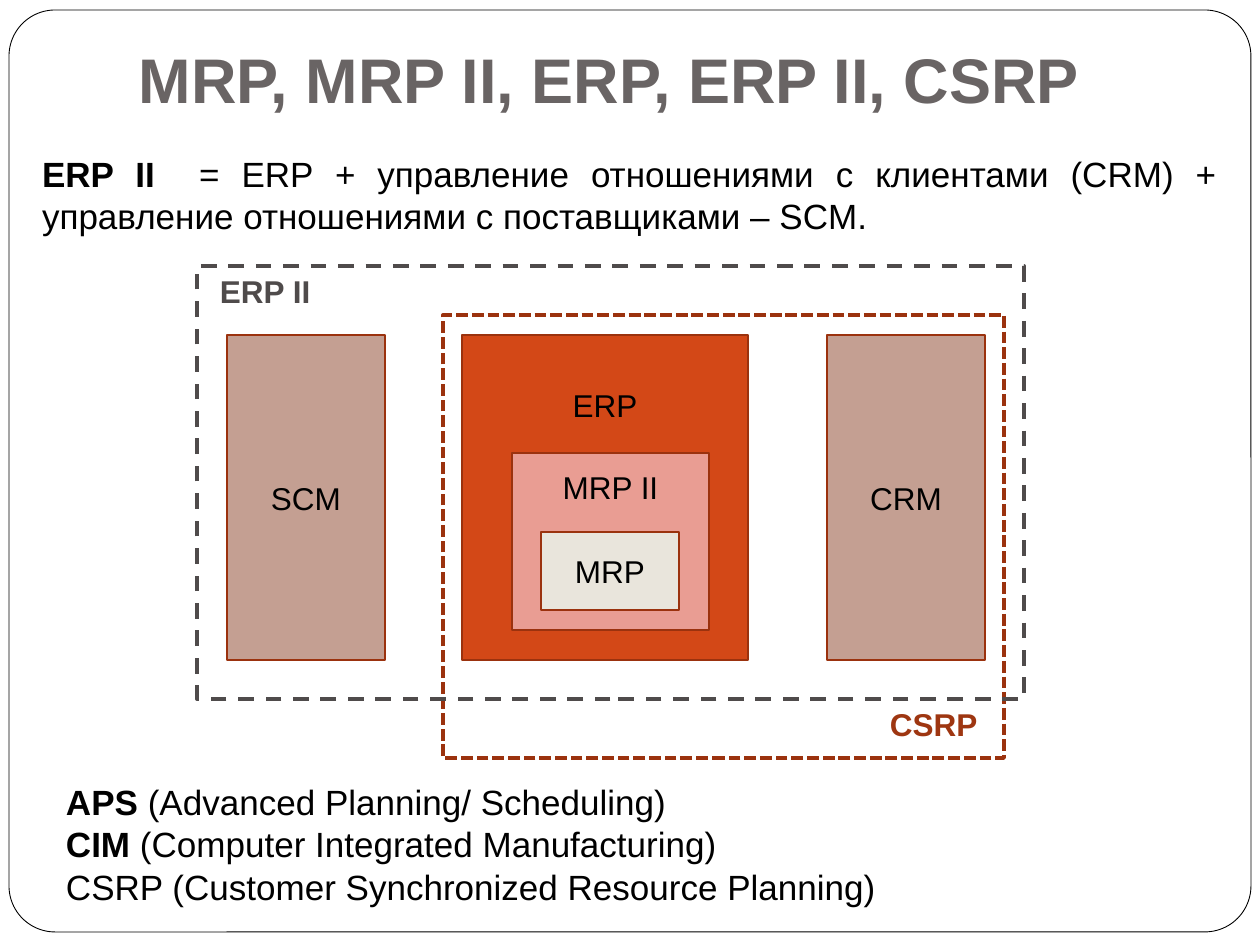
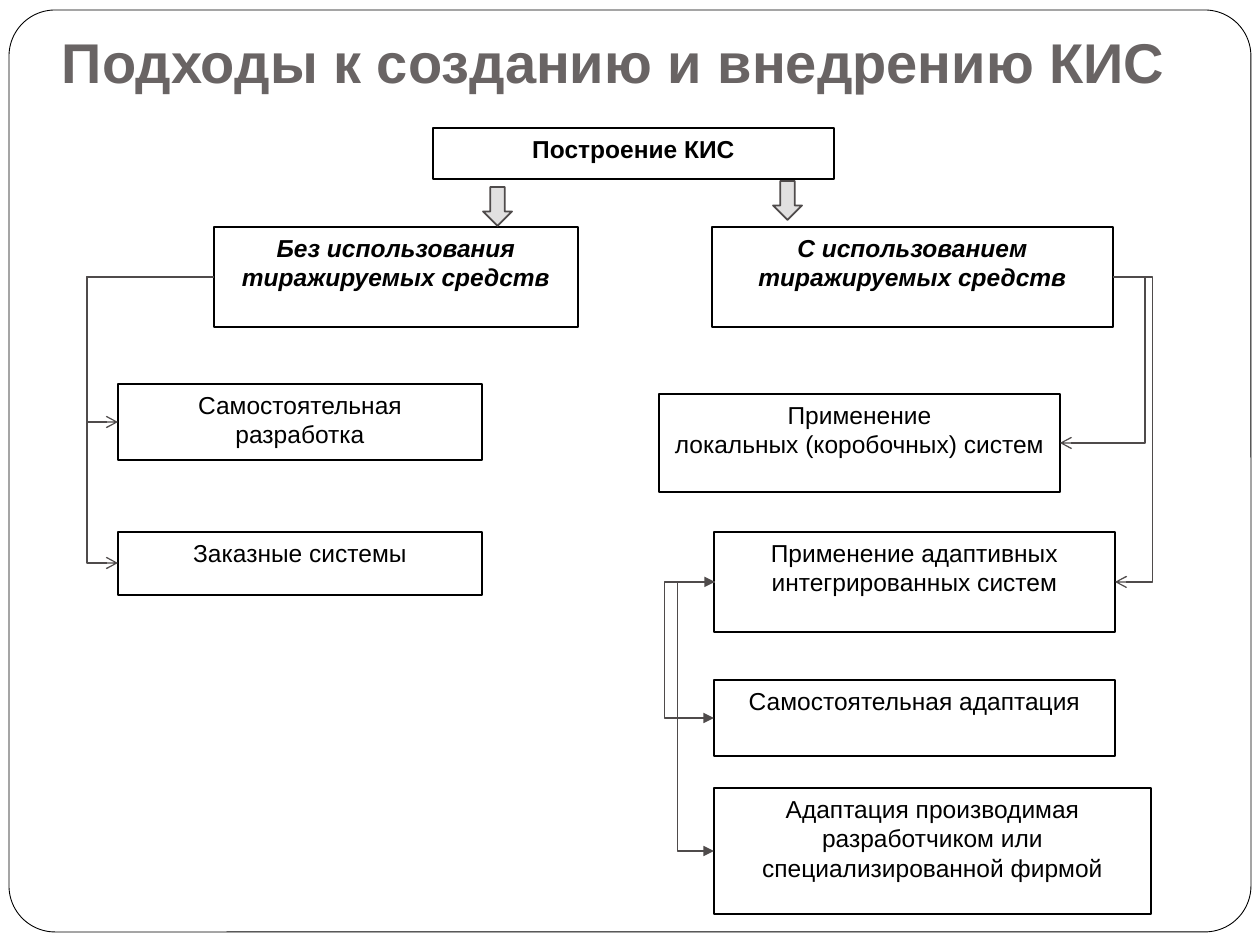
"""Builds two slides on resource planning systems and approaches to creating them."""
from lxml import etree
from pptx import Presentation
from pptx.dml.color import RGBColor
from pptx.enum.dml import MSO_LINE
from pptx.enum.shapes import MSO_CONNECTOR, MSO_SHAPE
from pptx.enum.text import MSO_ANCHOR, PP_ALIGN
from pptx.oxml.ns import qn
from pptx.util import Emu, Pt

RECT, ROUNDED, DOWN = MSO_SHAPE.RECTANGLE, MSO_SHAPE.ROUNDED_RECTANGLE, MSO_SHAPE.DOWN_ARROW
ELBOW = MSO_CONNECTOR.ELBOW
DASH, SHORT_DASH = MSO_LINE.DASH, MSO_LINE.SQUARE_DOT
TOP, MIDDLE, BOTTOM = MSO_ANCHOR.TOP, MSO_ANCHOR.MIDDLE, MSO_ANCHOR.BOTTOM
LEFT, CENTER, JUSTIFY = PP_ALIGN.LEFT, PP_ALIGN.CENTER, PP_ALIGN.JUSTIFY

FONT = "Arial"
BLACK, WHITE, TITLE_GRAY, DARK_GRAY = "000000", "FFFFFF", "696464", "4F4B4B"
RUST, CSRP_RUST, ARROW_GRAY = "9B320E", "9E3611", "E1E0E0"
ROSE, ORANGE, PINK, CREAM = "C49F92", "D34817", "E99D93", "E9E5DC"
PX = 914400 / 126
INSET_X, INSET_Y = 13, 6
FRAME = (9, 10, 1242, 922)

PLAN_TITLE = ("MRP, MRP II, ERP, ERP II, CSRP", 36, (126, 38, 1071, 91))
PLAN_TEXTS = [
    ((29, 147, 1201, 139), JUSTIFY, [
        [("ERP II", True),
         ("  = ERP + управление отношениями с клиентами (CRM) + "
          "управление отношениями с поставщиками – SCM.", False)]]),
    ((53, 775, 900, 139), LEFT, [
        [("APS", True), (" (Advanced Planning/ Scheduling)", False)],
        [("CIM ", True), ("(Computer Integrated Manufacturing)", False)],
        [("CSRP (Customer Synchronized Resource\u00a0Planning)", False)]]),
]
PLAN_BLOCKS = [
    ("SCM", (227, 335, 158, 325), ROSE, None),
    ("ERP", (462, 335, 286, 325), ORANGE, 51),
    ("MRP II", (512, 453, 197, 177), PINK, 15),
    ("MRP", (541, 532, 138, 78), CREAM, None),
    ("CRM", (827, 335, 158, 325), ROSE, None),
]
PLAN_SCOPES = [
    ("CSRP", (443, 315, 561, 443), RUST, SHORT_DASH, (877, 699, 120, 50), CSRP_RUST),
    ("ERP II", (197, 266, 827, 433), DARK_GRAY, DASH, (207, 266, 125, 50), DARK_GRAY),
]

BUILD_TITLE = ("Подходы к созданию и внедрению КИС", 32, (49, 28, 1162, 80))
BUILD_BOXES = {
    "root": (["Построение КИС"], (433, 128, 401, 51), True, False),
    "custom": (["Без использования тиражируемых средств"], (214, 227, 364, 100), True, True),
    "packaged": (["С использованием тиражируемых средств"], (712, 227, 401, 100), True, True),
    "own": (["Самостоятельная разработка"], (118, 384, 364, 76), False, False),
    "ordered": (["Заказные системы"], (118, 532, 364, 63), False, False),
    "local": (["Применение", "локальных (коробочных) систем"],
              (659, 394, 401, 98), False, False),
    "adaptive": (["Применение адаптивных интегрированных систем"],
                 (714, 532, 401, 100), False, False),
    "own_fit": (["Самостоятельная адаптация"], (714, 680, 401, 76), False, False),
    "vendor_fit": (["Адаптация производимая разработчиком или специализированной фирмой"],
                   (714, 788, 437, 126), False, False),
}
BUILD_ARROWS = [(773, 181, 29, 39), (483, 187, 29, 39)]
BUILD_LINKS = [
    ("custom", "own", "left", 87, None, "arrow"),
    ("custom", "ordered", "left", 87, None, "arrow"),
    ("packaged", "local", "right", 1145, None, "arrow"),
    ("packaged", "adaptive", "right", 1153, None, "arrow"),
    ("adaptive", "own_fit", "left", 664, "triangle", "triangle"),
    ("adaptive", "vendor_fit", "left", 677, None, "triangle"),
]


def emu(pixels):
    return Emu(round(pixels * PX))


def color(hex_code):
    return RGBColor.from_string(hex_code)


def write(box, paragraphs, size, hue=BLACK, align=LEFT, anchor=TOP, inset_top=INSET_Y,
          inset_bottom=INSET_Y, italic=False):
    frame = box.text_frame
    frame.word_wrap = True
    frame.vertical_anchor = anchor
    frame.margin_left = frame.margin_right = emu(INSET_X)
    frame.margin_top, frame.margin_bottom = emu(inset_top), emu(inset_bottom)
    for index, spans in enumerate(paragraphs):
        para = frame.add_paragraph() if index else frame.paragraphs[0]
        para.alignment = align
        for text, bold in spans:
            span = para.add_run()
            span.text = text
            font = span.font
            font.name, font.size, font.bold, font.italic = FONT, Pt(size), bold, italic
            font.color.rgb = color(hue)


def add_text(page, place, paragraphs, size, **style):
    box = page.shapes.add_textbox(*map(emu, place))
    write(box, paragraphs, size, **style)


def add_box(page, place, fill, line, width, kind=RECT, dash=None):
    box = page.shapes.add_shape(kind, *map(emu, place))
    box.shadow.inherit = False
    if fill:
        box.fill.solid()
        box.fill.fore_color.rgb = color(fill)
    else:
        box.fill.background()
    box.line.color.rgb = color(line)
    box.line.width = Pt(width)
    if dash:
        box.line.dash_style = dash
    return box


def add_page(deck, title):
    page = deck.slides.add_slide(deck.slide_layouts[6])
    frame = add_box(page, FRAME, WHITE, BLACK, 0.5, ROUNDED)
    frame.adjustments[0] = 0.05
    text, size, place = title
    add_text(page, place, [[(text, True)]], size, hue=TITLE_GRAY, anchor=BOTTOM,
             inset_bottom=INSET_X)
    return page


def side_point(place, side):
    left, top, width, height = place
    return left + (width if side == "right" else 0), top + height // 2


def add_link(page, start, end, turn, head, tail):
    (start_x, start_y), (end_x, end_y) = start, end
    if start_x == end_x:
        start_x += 1
    link = page.shapes.add_connector(ELBOW, *map(emu, (start_x, start_y, end_x, end_y)))
    link.line.color.rgb = color(DARK_GRAY)
    link.line.width = Pt(0.75)
    properties = link._element.spPr
    guides = properties.find(qn("a:prstGeom")).get_or_add_avLst()
    bend = round((turn - start_x) / (end_x - start_x) * 100000)
    etree.SubElement(guides, qn("a:gd"), name="adj1", fmla=f"val {bend}")
    outline = properties.find(qn("a:ln"))
    for tag, shape in (("a:headEnd", head), ("a:tailEnd", tail)):
        if shape:
            etree.SubElement(outline, qn(tag), type=shape)
    etree.SubElement(properties, qn("a:effectLst"))


def build_plan_page(deck):
    page = add_page(deck, PLAN_TITLE)
    for place, align, paragraphs in PLAN_TEXTS:
        add_text(page, place, paragraphs, 20, align=align)
    for name, place, fill, inset in PLAN_BLOCKS:
        block = add_box(page, place, fill, RUST, 1)
        write(block, [[(name, False)]], 18, align=CENTER,
              anchor=TOP if inset else MIDDLE, inset_top=inset or INSET_Y)
    for name, place, line, dash, label_place, hue in PLAN_SCOPES:
        add_box(page, place, None, line, 2.25, dash=dash)
        add_text(page, label_place, [[(name, True)]], 18, hue=hue)


def build_approach_page(deck):
    page = add_page(deck, BUILD_TITLE)
    for lines, place, bold, italic in BUILD_BOXES.values():
        box = add_box(page, place, WHITE, BLACK, 0.75)
        write(box, [[(line, bold)] for line in lines], 14, align=CENTER, italic=italic)
    for place in BUILD_ARROWS:
        add_box(page, place, ARROW_GRAY, DARK_GRAY, 1, DOWN)
    for source, target, side, turn, head, tail in BUILD_LINKS:
        start, end = (side_point(BUILD_BOXES[name][1], side) for name in (source, target))
        add_link(page, start, end, turn, head, tail)


def main():
    deck = Presentation()
    deck.slide_width, deck.slide_height = emu(1260), emu(945)
    build_plan_page(deck)
    build_approach_page(deck)
    deck.save("out.pptx")


if __name__ == "__main__":
    main()
